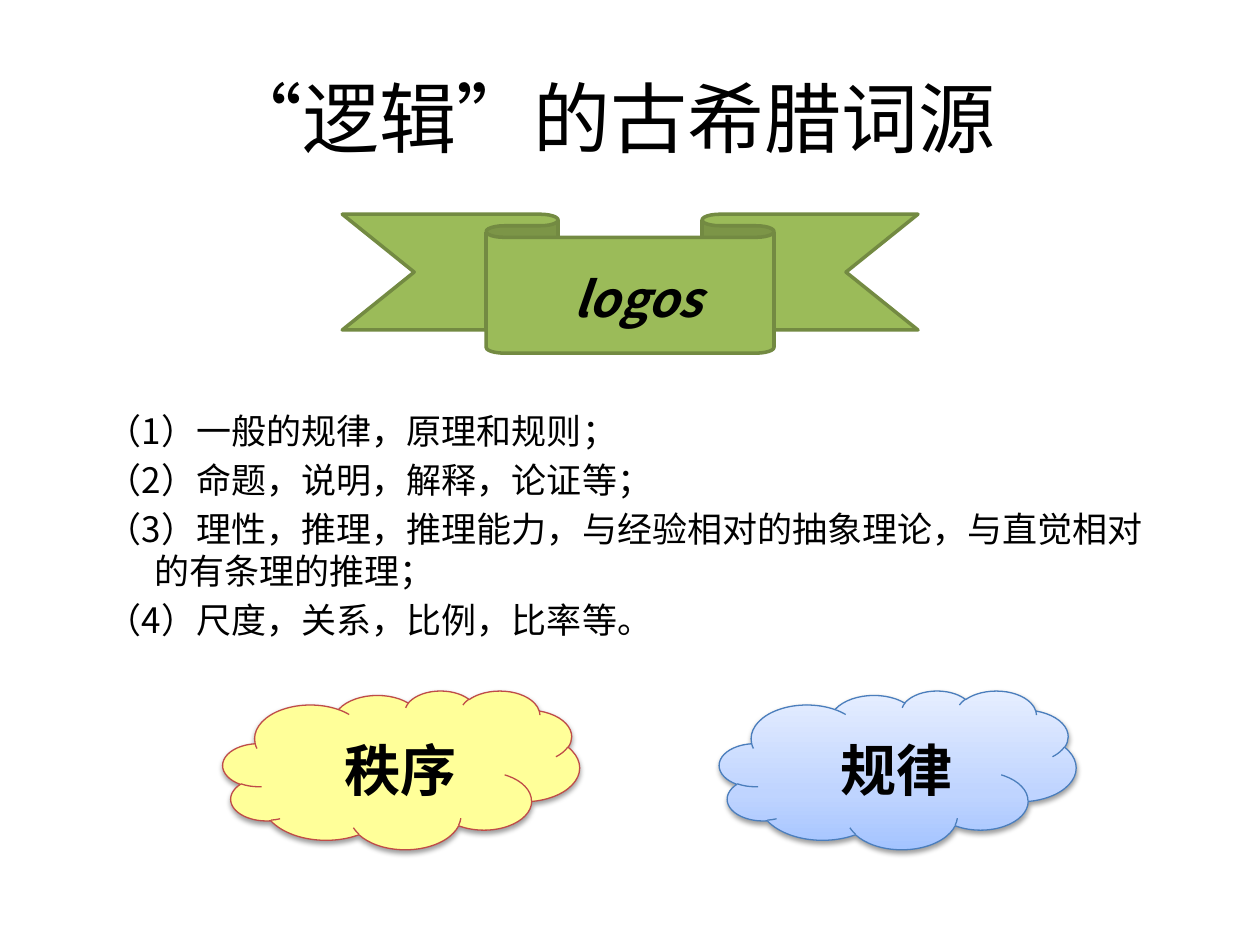
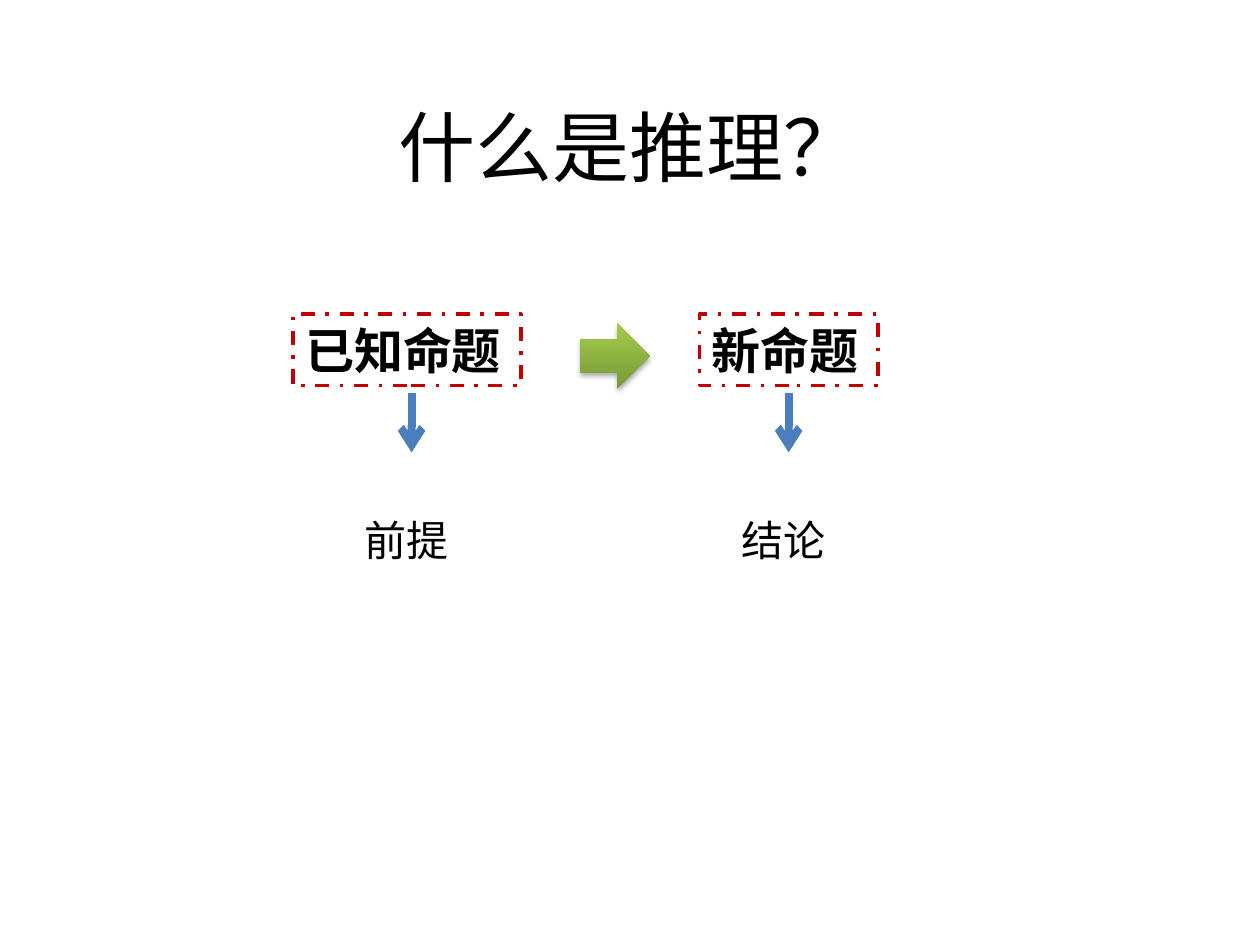
import copy

import pptx
import pptx.dml.color
import pptx.enum.dml
import pptx.enum.lang
import pptx.enum.shapes
import pptx.enum.text
import pptx.oxml
import pptx.util

Pt = pptx.util.Pt
SHAPE = pptx.enum.shapes.MSO_SHAPE
ALIGN = pptx.enum.text.PP_ALIGN
ANCHOR = pptx.enum.text.MSO_ANCHOR
NAMESPACE = 'xmlns:a="http://schemas.openxmlformats.org/drawingml/2006/main"'

BLACK, RED, BLUE = "000000", "C00000", "4B7EBC"
GREEN, DARK_GREEN = "9BBB59", "738A42"
FONT_JP, FONT_SC = "Noto Sans CJK JP", "Noto Sans CJK SC"


def color(hex_string):
    return pptx.dml.color.RGBColor.from_string(hex_string)


def write_text(shape, lines, size, font_name=FONT_JP, bold=False, italic=False,
               align=ALIGN.LEFT, anchor=ANCHOR.TOP, hanging=0):
    """Fill a shape with one paragraph for each line."""
    frame = shape.text_frame
    frame.word_wrap = True
    frame.vertical_anchor = anchor
    for index, line in enumerate(lines):
        paragraph = frame.paragraphs[0] if index == 0 else frame.add_paragraph()
        paragraph.alignment = align
        if index:
            paragraph.space_before = Pt(size * 0.2)
        if hanging:
            properties = paragraph._p.get_or_add_pPr()
            properties.set("marL", str(Pt(hanging)))
            properties.set("indent", str(-Pt(hanging)))
        run = paragraph.add_run()
        run.text = line
        font = run.font
        font.name, font.size = font_name, Pt(size)
        font.bold, font.italic = bold, italic
        font.color.rgb = color(BLACK)
        font.language_id = pptx.enum.lang.MSO_LANGUAGE_ID.SIMPLIFIED_CHINESE
        run._r.rPr.append(pptx.oxml.parse_xml(
            f'<a:ea {NAMESPACE} typeface="{font_name}"/>'))


presentation = pptx.Presentation()
presentation.slide_width, presentation.slide_height = Pt(720), Pt(540)
origin_slide, inference_slide = [
    presentation.slides.add_slide(presentation.slide_layouts[6]) for _ in range(2)]

# Titles
for slide, left, top, title in [
    (origin_slide, 25.2, 21.6, "“逻辑”的古希腊词源"),
    (inference_slide, 36, 38.2, "什么是推理？"),
]:
    box = slide.shapes.add_textbox(Pt(left), Pt(top), Pt(648), Pt(90))
    write_text(box, [title], 44, align=ALIGN.CENTER, anchor=ANCHOR.MIDDLE)

# Meanings of logos
meanings = origin_slide.shapes.add_textbox(Pt(54), Pt(230.4), Pt(618), Pt(153.4))
write_text(meanings, [
    "（1）一般的规律，原理和规则；",
    "（2）命题，说明，解释，论证等；",
    "（3）理性，推理，推理能力，与经验相对的抽象理论，与直觉相对的有条理的推理；",
    "（4）尺度，关系，比例，比率等。",
], 20, FONT_SC, hanging=27)

# Ribbon with the Greek word
ribbon = origin_slide.shapes.add_shape(
    SHAPE.DOWN_RIBBON, Pt(195.6), Pt(122.4), Pt(329), Pt(79.4))
ribbon.shadow.inherit = False
ribbon.fill.solid()
ribbon.fill.fore_color.rgb = color(GREEN)
ribbon.line.color.rgb = color(DARK_GREEN)
ribbon.line.width = Pt(2)
word = origin_slide.shapes.add_textbox(Pt(320.4), Pt(149.8), Pt(181.4), Pt(41))
write_text(word, ["logos"], 28, bold=True, italic=True)

# Clouds and the inference arrow: shaded fills with a soft shadow below
yellow = [(0, "FFFF99")]
sky = [(0, "A4C4FF"), (0.35, "BFD4FF"), (1, "E6EEFF")]
leaf = [(0, "779737"), (0.8, "9BC348"), (1, "9DC746")]
for slide, preset, bounds, stops, outline, opacity, distance in [
    (origin_slide, SHAPE.CLOUD, (127.4, 394.6, 203.8, 90.7), yellow, "BF4C48", 38, 1.6),
    (origin_slide, SHAPE.CLOUD, (411.1, 394.6, 203.8, 90.7), sky, BLUE, 38, 1.6),
    (inference_slide, SHAPE.RIGHT_ARROW, (331.7, 184.8, 39.6, 37.4), leaf, None, 35, 1.8),
]:
    shape = slide.shapes.add_shape(preset, *map(Pt, bounds))
    if len(stops) == 1:
        shape.fill.solid()
        shape.fill.fore_color.rgb = color(stops[0][1])
    else:
        shape.fill.gradient()
        shape.fill.gradient_angle = 90
        stop_list = shape._element.spPr.xpath(".//a:gsLst")[0]
        stop_list.append(copy.deepcopy(stop_list[0]))
        for stop, (position, stop_color) in zip(shape.fill.gradient_stops, stops):
            stop.position = position
            stop.color.rgb = color(stop_color)
    if outline:
        shape.line.color.rgb = color(outline)
        shape.line.width = Pt(0.75)
    else:
        shape.line.fill.background()
    shape.shadow.inherit = False
    shape._element.spPr.xpath("./a:effectLst")[0].append(pptx.oxml.parse_xml(
        f'<a:outerShdw {NAMESPACE} blurRad="{Pt(3.1)}" dist="{Pt(distance)}" '
        f'dir="5400000" rotWithShape="0"><a:srgbClr val="{BLACK}">'
        f'<a:alpha val="{opacity * 1000}"/></a:srgbClr></a:outerShdw>'))

for left, label in [(189.8, "秩序"), (473, "规律")]:
    box = origin_slide.shapes.add_textbox(Pt(left), Pt(416.9), Pt(96.5), Pt(46))
    write_text(box, [label], 32, bold=True)

# Propositions, each with an arrow down to its role
for left, width, proposition, arrow_x, role in [
    (167.3, 130.3, "已知命题", 235.2, "前提"),
    (399.6, 102.2, "新命题", 450.7, "结论"),
]:
    frame_box = inference_slide.shapes.add_shape(
        SHAPE.RECTANGLE, Pt(left), Pt(179.5), Pt(width), Pt(41))
    frame_box.shadow.inherit = False
    frame_box.fill.background()
    frame_box.line.color.rgb = color(RED)
    frame_box.line.width = Pt(2)
    frame_box.line.dash_style = pptx.enum.dml.MSO_LINE.DASH_DOT
    write_text(frame_box, [proposition], 28, FONT_SC, bold=True)

    arrow = inference_slide.shapes.add_connector(
        pptx.enum.shapes.MSO_CONNECTOR.STRAIGHT,
        Pt(arrow_x), Pt(224.6), Pt(arrow_x), Pt(258.5))
    arrow.line.color.rgb = color(BLUE)
    arrow.line.width = Pt(4.5)
    arrow.line._get_or_add_ln().append(
        pptx.oxml.parse_xml(f'<a:tailEnd {NAMESPACE} type="arrow"/>'))
    arrow._element.spPr.append(pptx.oxml.parse_xml(f"<a:effectLst {NAMESPACE}/>"))

    role_box = inference_slide.shapes.add_textbox(
        Pt(arrow_x - 33.8), Pt(290.2), Pt(73.4), Pt(36))
    write_text(role_box, [role], 24)

presentation.save("out.pptx")
